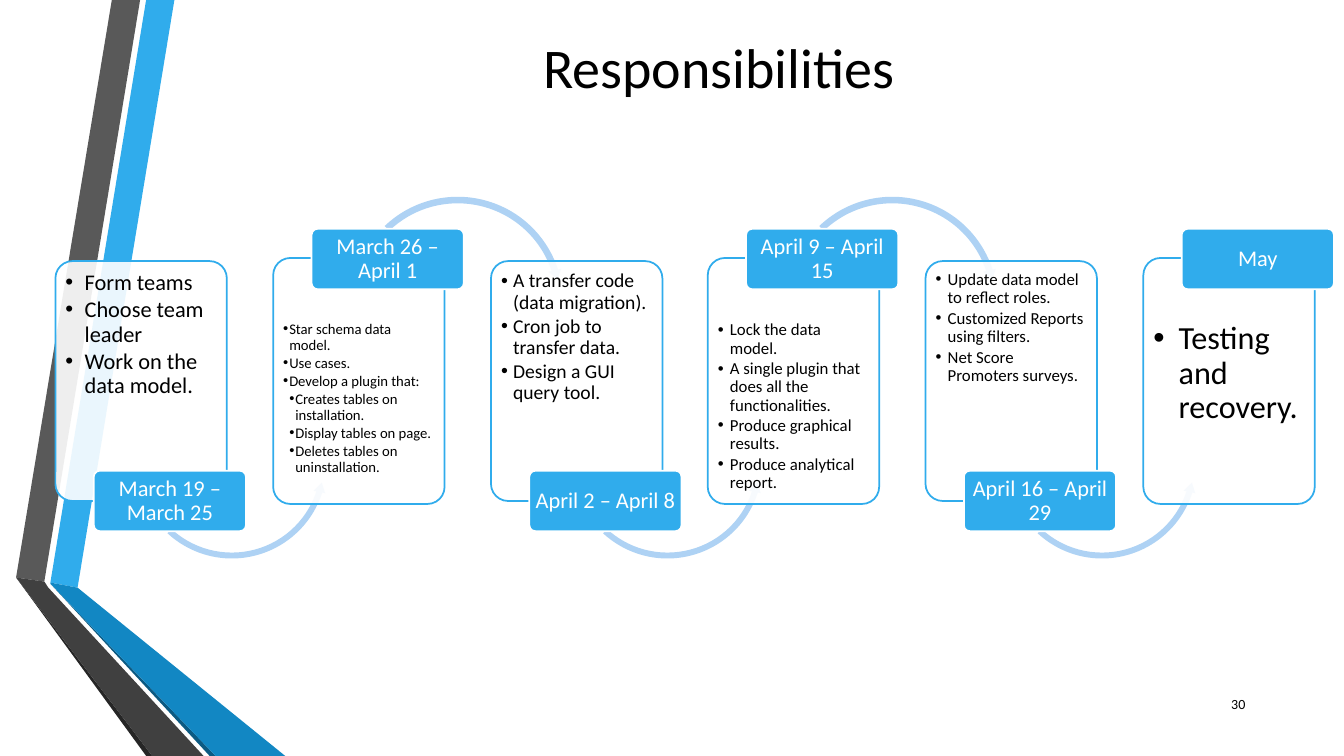
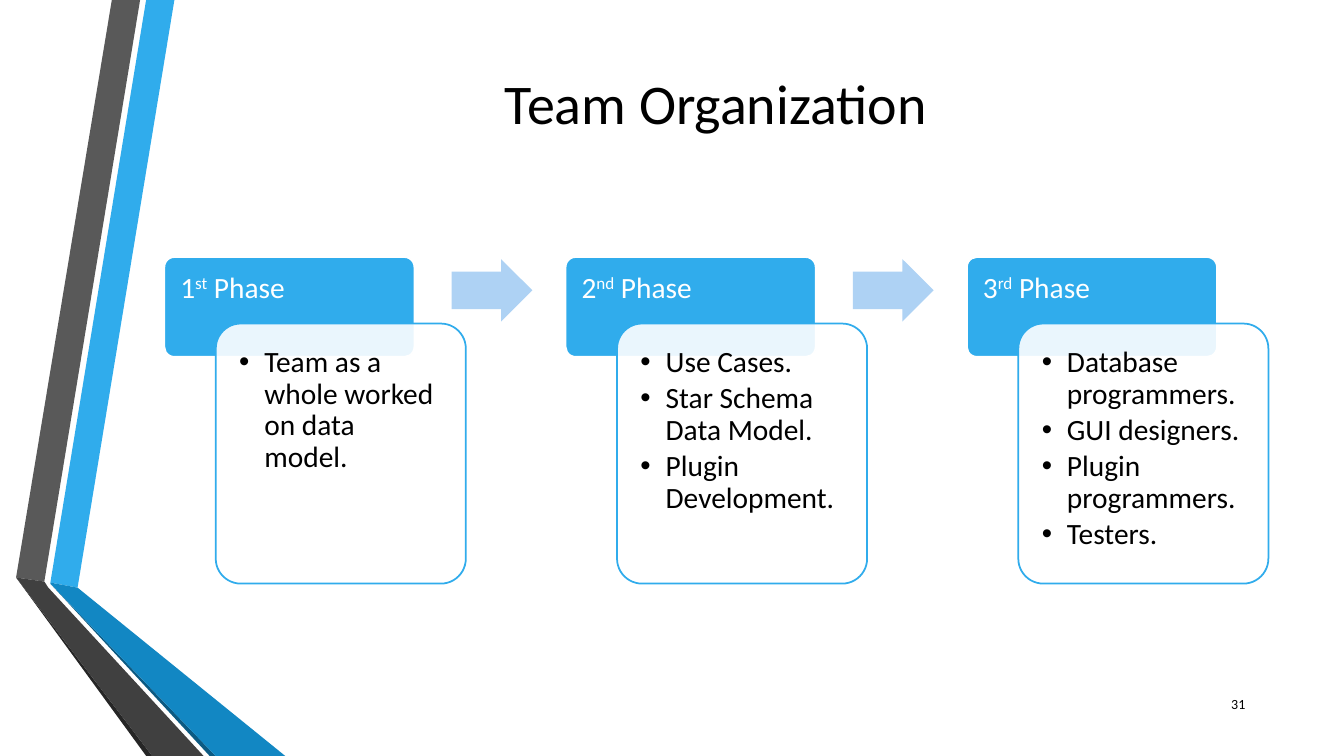
from lxml import etree
from pptx import Presentation
from pptx.dml.color import RGBColor
from pptx.enum.shapes import MSO_SHAPE
from pptx.enum.text import MSO_ANCHOR, PP_ALIGN
from pptx.oxml.ns import qn
from pptx.util import Pt

PX = 9144
FONT = "Calibri"
ROUND, RIGHT_ARROW = MSO_SHAPE.ROUNDED_RECTANGLE, MSO_SHAPE.RIGHT_ARROW
ARC_OVER, ARC_UNDER = MSO_SHAPE.CIRCULAR_ARROW, MSO_SHAPE.LEFT_CIRCULAR_ARROW
TOP, MIDDLE = MSO_ANCHOR.TOP, MSO_ANCHOR.MIDDLE
LEFT, CENTER, RIGHT = PP_ALIGN.LEFT, PP_ALIGN.CENTER, PP_ALIGN.RIGHT

COLORS = {
    "black": "000000", "white": "FFFFFF", "blue": "30ACEC",
    "pale": "AED2F4", "gray": "595959", "charcoal": "404040",
    "ink": "262626", "navy": "0C5A82", "ocean": "1287C3",
}
RIBBONS = [
    ("blue", [(50, 578), (77, 583), (173, 0), (145, 0)]),
    ("gray", [(139, 0), (111, 0), (16, 573), (44, 577)]),
    ("ink", [(16, 573), (145, 750), (151, 750)]),
    ("navy", [(50, 579), (208, 750), (214, 750)]),
    ("ocean", [(50, 578), (50, 579), (214, 750), (283, 750), (77, 583)]),
    ("charcoal", [(202, 750), (48, 583), (44, 577), (16, 573), (151, 750)]),
]
STEPS = [
    ("March 19 – March 25", 16, 19,
     ["Form teams", "Choose team leader", "Work on the data model."]),
    ("March 26 – April 1", 10.5, 6,
     ["Star schema data model.", "Use cases.", "Develop a plugin that:",
      ("Creates tables on installation.", 2), ("Display tables on page.", 2),
      ("Deletes tables on uninstallation.", 2)]),
    ("April 2 – April 8", 14, 12,
     ["A transfer code (data migration).", "Cron job to transfer data.",
      "Design a GUI query tool."]),
    ("April 9 – April 15", 12, 12,
     ["Lock the data model.",
      "A single plugin that does all the functionalities.",
      "Produce graphical results.", "Produce analytical report."]),
    ("April 16 – April 29", 12, 12,
     ["Update data model to reflect roles.",
      "Customized Reports using filters.", "Net Score Promoters surveys."]),
    ("May", 23, 25, ["Testing and recovery."]),
]
PHASES = [
    ("1", "st", ["Team as a whole worked on data model."]),
    ("2", "nd", ["Use Cases.", "Star Schema Data Model.",
                 "Plugin Development."]),
    ("3", "rd", ["Database programmers.", "GUI designers.",
                 "Plugin programmers.", "Testers."]),
]


class Deck:
    """Holds the shared style and the current slide."""

    def __init__(self):
        """Start a widescreen presentation."""
        self.prs = Presentation()
        self.prs.slide_width, self.prs.slide_height = 1333 * PX, 750 * PX
        self.s = None

    def slide(self, title, x, y, number):
        """Add a slide with its ribbons, title and number."""
        self.s = self.prs.slides.add_slide(self.prs.slide_layouts[6])
        for color, points in RIBBONS:
            self.ribbon(color, points)
        self.label(title, (x, y, 1096, 92), 40, CENTER)
        self.label(number, (1185, 678, 60, 40), 10, RIGHT)

    def paint(self, sp, fill, line=None, alpha=None):
        """Set the fill, outline and transparency of a shape."""
        sp.shadow.inherit = False
        sp.fill.solid()
        sp.fill.fore_color.rgb = RGBColor.from_string(COLORS[fill])
        if alpha:
            clr = sp.element.spPr.find(qn("a:solidFill"))[0]
            etree.SubElement(clr, qn("a:alpha")).set("val", str(alpha * 1000))
        if line:
            sp.line.color.rgb = RGBColor.from_string(COLORS[line])
            sp.line.width = Pt(1.25)
        else:
            sp.line.fill.background()

    def ribbon(self, color, points):
        """Draw a closed polygon."""
        builder = self.s.shapes.build_freeform(*points[0], scale=PX)
        builder.add_line_segments(points[1:], close=True)
        self.paint(builder.convert_to_shape(), color)

    def shape(self, kind, box, adj, fill, line=None, alpha=None):
        """Draw a preset shape."""
        sp = self.s.shapes.add_shape(kind, *(v * PX for v in box))
        for i, value in enumerate(adj):
            sp.adjustments[i] = value
        self.paint(sp, fill, line, alpha)
        return sp

    def frame(self, sp, insets, anchor):
        """Prepare the text frame of a shape."""
        tf = sp.text_frame
        sides = ("margin_left", "margin_top", "margin_right", "margin_bottom")
        fmt = {"word_wrap": True, "vertical_anchor": anchor}
        fmt.update(zip(sides, (v * PX for v in insets)))
        for name, value in fmt.items():
            setattr(tf, name, value)
        return tf

    def add_runs(self, p, runs, size, color, **fmt):
        """Fill a paragraph with (text, baseline) runs."""
        for name, value in fmt.items():
            setattr(p, name, value)
        for text, baseline in runs:
            r = p.add_run()
            r.text = text
            font = {"name": FONT, "size": Pt(size)}
            for name, value in font.items():
                setattr(r.font, name, value)
            r.font.color.rgb = RGBColor.from_string(COLORS[color])
            if baseline:
                r._r.get_or_add_rPr().set("baseline", str(baseline * 1000))

    def label(self, text, box, size, align):
        """Add a plain text box."""
        sp = self.s.shapes.add_textbox(*(v * PX for v in box))
        tf = self.frame(sp, (10, 5, 10, 5), MIDDLE)
        self.add_runs(tf.paragraphs[0], [(text, 0)], size, "black",
                      alignment=align)

    def tag(self, runs, box, size, insets, anchor, align):
        """Add a blue block with a white heading."""
        sp = self.shape(ROUND, box, [0.1], "blue", "white")
        tf = self.frame(sp, insets, anchor)
        self.add_runs(tf.paragraphs[0], runs, size, "white",
                      alignment=align, line_spacing=0.9)

    def card(self, items, box, size, indent, insets):
        """Add an outlined card with a bulleted list."""
        sp = self.shape(ROUND, box, [0.1], "white", "blue", 90)
        tf = self.frame(sp, insets, TOP)
        for i, item in enumerate(items):
            text, level = (item, 1) if isinstance(item, str) else item
            p = tf.add_paragraph() if i else tf.paragraphs[0]
            self.add_runs(p, [(text, 0)], size, "black", alignment=LEFT,
                          line_spacing=0.9, space_after=Pt(size * 0.15))
            pPr = p._p.get_or_add_pPr()
            pPr.set("marL", str(indent * level * PX))
            pPr.set("indent", str(-indent * PX))
            etree.SubElement(pPr, qn("a:buFont")).set("typeface", "Arial")
            etree.SubElement(pPr, qn("a:buChar")).set("char", "•")


def responsibilities(deck):
    """Build the timeline slide."""
    deck.slide("Responsibilities", 165, 20, "30")
    for i, (dates, size, indent, items) in enumerate(STEPS):
        x = round(55 + 215.8 * i)
        if i % 2:
            card, top, tag_y = (x, 256, 170, 244), 58, 227
            arc, box = ARC_OVER, (x + 75, 192, 216, 216)
            adj = [0.03, 3.23, 205.04, 135.78, 0.03]
        else:
            card, top, tag_y = (x, 259, 170, 238), 5, 467
            arc, box = ARC_UNDER, (x + 78, 363, 194, 194)
            adj = [0.03, 3.61, 10.76, 79.64, 0.03]
        deck.card(items, card, size, indent, (5, top, 5, 5))
        if i < len(STEPS) - 1:
            deck.shape(arc, box, adj, "pale")
        deck.tag([(dates, 0)], (x + 38, tag_y, 151, 60), 16,
                 (3, 2, 3, 2), MIDDLE, CENTER)


def team_organization(deck):
    """Build the phases slide."""
    deck.slide("Team Organization", 162, 55, "31")
    for i, (digit, suffix, items) in enumerate(PHASES):
        x = 163 + 398 * i
        deck.tag([(digit, 0), (suffix, 30), (" Phase", 0)],
                 (x, 255, 248, 99), 21, (13, 13, 13, 9), TOP, LEFT)
        deck.card(items, (x + 51, 321, 248, 258), 21, 25, (16, 16, 16, 16))
        if i < len(PHASES) - 1:
            deck.shape(RIGHT_ARROW, (x + 285, 257, 80, 62), [0.6, 0.5], "pale")


def main():
    """Build and save the presentation."""
    deck = Deck()
    responsibilities(deck)
    team_organization(deck)
    deck.prs.save("out.pptx")


if __name__ == "__main__":
    main()
